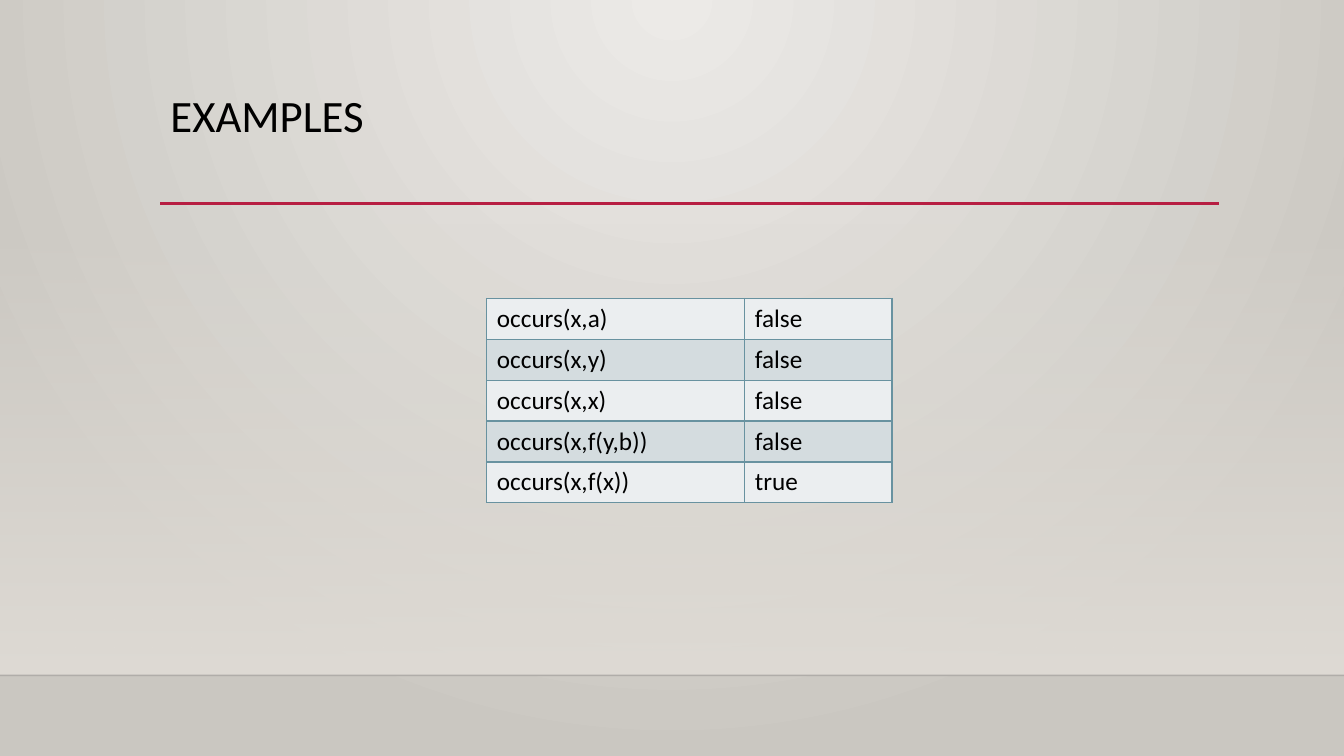
from lxml import etree
from pptx import Presentation
from pptx import util as u
from pptx.dml.color import RGBColor
from pptx.enum import shapes, text
from pptx.oxml.ns import qn

WIDTH, HEIGHT = 33.87, 19.05
FLOOR = 17.02
EXAMPLES = [
    ("occurs(x,a)", "false"),
    ("occurs(x,y)", "false"),
    ("occurs(x,x)", "false"),
    ("occurs(x,f(y,b))", "false"),
    ("occurs(x,f(x))", "true"),
]


def rgb(value):
    return RGBColor.from_string(value)


def set_alpha(container, percent):
    color = next(container.iter(qn("a:srgbClr")))
    etree.SubElement(color, qn("a:alpha"), val=str(percent * 1000))


class SlideBuilder:
    font = "Calibri"
    ink = "000000"
    border = "6892A0"
    bands = ("EBEEF0", "D4DCDF")

    def __init__(self, slide):
        self.slide = slide

    def gradient(self, fill, colors):
        fill.gradient()
        for stop, color, position in zip(fill.gradient_stops, colors, (0, 1)):
            stop.color.rgb = rgb(color)
            stop.position = position

    def background(self, center, edge):
        fill = self.slide.background.fill
        self.gradient(fill, (center, edge))
        gradient = next(self.slide.element.iter(qn("a:gradFill")))
        gradient.remove(gradient.find(qn("a:lin")))
        circle = etree.SubElement(gradient, qn("a:path"), path="circle")
        etree.SubElement(circle, qn("a:fillToRect"),
                         l="43000", t="0", r="43000", b="100000")

    def fading_band(self, top, bottom, color):
        shape = self.slide.shapes.add_shape(
            shapes.MSO_SHAPE.RECTANGLE, 0, u.Cm(top), u.Cm(WIDTH), u.Cm(bottom - top))
        shape.shadow.inherit = False
        shape.line.fill.background()
        self.gradient(shape.fill, (color, color))
        shape.fill.gradient_angle = 270
        set_alpha(next(shape.element.iter(qn("a:gs"))), 0)

    def rule(self, left, right, y, color, width, opacity=100):
        line = self.slide.shapes.add_connector(
            shapes.MSO_CONNECTOR.STRAIGHT, u.Cm(left), u.Cm(y), u.Cm(right), u.Cm(y))
        line.line.color.rgb = rgb(color)
        line.line.width = u.Pt(width)
        if opacity < 100:
            set_alpha(line.element.spPr, opacity)
        etree.SubElement(line.element.spPr, qn("a:effectLst"))

    def add_words(self, paragraph, words, size):
        run = paragraph.add_run()
        run.text = words
        run.font.name = self.font
        run.font.size = u.Pt(size)
        run.font.color.rgb = rgb(self.ink)

    def title(self, words, left, top, width, height):
        shape = self.slide.shapes.title
        shape.left, shape.top = u.Cm(left), u.Cm(top)
        shape.width, shape.height = u.Cm(width), u.Cm(height)
        frame = shape.text_frame
        frame.word_wrap = True
        frame.auto_size = text.MSO_AUTO_SIZE.NONE
        frame.vertical_anchor = text.MSO_ANCHOR.TOP
        paragraph = frame.paragraphs[0]
        paragraph.alignment = text.PP_ALIGN.LEFT
        paragraph.line_spacing = 0.9
        self.add_words(paragraph, words, 32)

    def cell_border(self, cell):
        properties = cell._tc.get_or_add_tcPr()
        for index, side in enumerate(("lnL", "lnR", "lnT", "lnB")):
            line = etree.Element(qn("a:" + side), w=str(u.Pt(1)))
            fill = etree.SubElement(line, qn("a:solidFill"))
            etree.SubElement(fill, qn("a:srgbClr"), val=self.border)
            properties.insert(index, line)

    def table(self, rows, left, top, widths, row_height):
        table = self.slide.shapes.add_table(
            len(rows), len(widths), u.Cm(left), u.Cm(top),
            u.Cm(sum(widths)), u.Cm(row_height * len(rows))).table
        table.first_row = False
        for column, width in zip(table.columns, widths):
            column.width = u.Cm(width)
        for i, row in enumerate(rows):
            table.rows[i].height = u.Cm(row_height)
            for j, words in enumerate(row):
                cell = table.cell(i, j)
                cell.fill.solid()
                cell.fill.fore_color.rgb = rgb(self.bands[i % 2])
                self.cell_border(cell)
                self.add_words(cell.text_frame.paragraphs[0], words, 18)


def main():
    presentation = Presentation()
    presentation.slide_width = u.Cm(WIDTH)
    presentation.slide_height = u.Cm(HEIGHT)
    slide = presentation.slides.add_slide(presentation.slide_layouts[5])
    builder = SlideBuilder(slide)
    builder.background("ECEAE7", "CAC7C1")
    builder.fading_band(5.61, FLOOR, "DFDBD5")
    builder.rule(0, WIDTH, FLOOR, "000001", 1, opacity=20)
    builder.rule(4.04, 30.73, 5.13, "B71E42", 2.5)
    builder.table(EXAMPLES, 12.27, 7.52, (6.5, 3.71), 1.03)
    builder.title("EXAMPLES", 4.04, 2.24, 26.67, 2.92)
    presentation.save("out.pptx")


if __name__ == "__main__":
    main()
